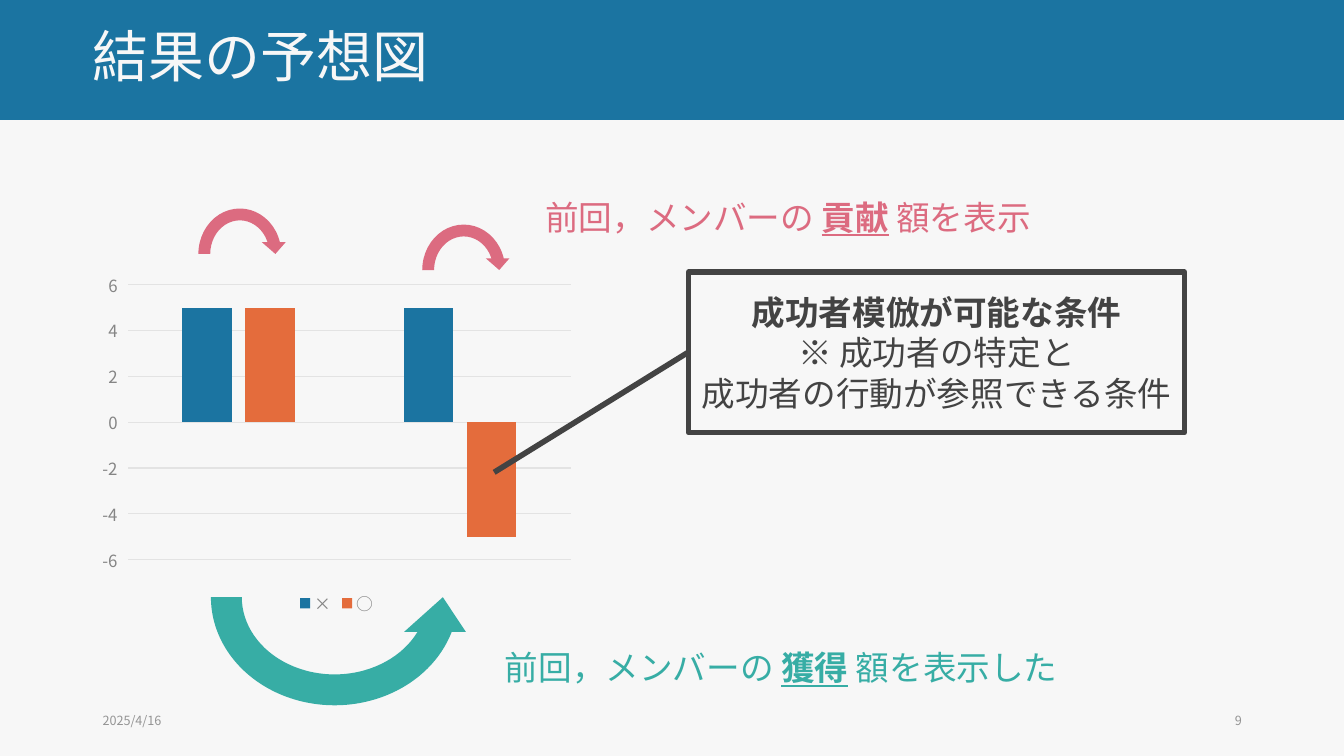
from dataclasses import dataclass

from lxml import etree
from pptx import Presentation
from pptx.chart.data import CategoryChartData
from pptx.dml.color import RGBColor
from pptx.enum.chart import XL_CHART_TYPE, XL_LEGEND_POSITION, XL_TICK_LABEL_POSITION, XL_TICK_MARK
from pptx.enum.shapes import MSO_SHAPE
from pptx.enum.text import MSO_ANCHOR, MSO_AUTO_SIZE, PP_ALIGN
from pptx.oxml.ns import qn
from pptx.util import Pt

COLUMNS = XL_CHART_TYPE.COLUMN_CLUSTERED
LEGEND_BOTTOM = XL_LEGEND_POSITION.BOTTOM
LABELS_LOW = XL_TICK_LABEL_POSITION.LOW
NO_TICK = XL_TICK_MARK.NONE
RECTANGLE = MSO_SHAPE.RECTANGLE
CIRCULAR_ARROW = MSO_SHAPE.CIRCULAR_ARROW
CALLOUT = MSO_SHAPE.LINE_CALLOUT_1
MIDDLE = MSO_ANCHOR.MIDDLE
GROW = MSO_AUTO_SIZE.SHAPE_TO_FIT_TEXT
LEFT, CENTER, RIGHT = PP_ALIGN.LEFT, PP_ALIGN.CENTER, PP_ALIGN.RIGHT


@dataclass(frozen=True)
class Theme:
    font: str = "Noto Sans CJK JP"
    paper: str = "F7F7F7"
    blue: str = "1B74A1"
    orange: str = "E46C3C"
    pink: str = "DC6B80"
    teal: str = "37ADA5"
    ink: str = "434343"
    axis: str = "858585"
    footer: str = "949494"
    grid: str = "E3E3E3"
    title_size: int = 40
    body_size: int = 24
    chart_size: int = 12
    footer_size: int = 9


THEME = Theme()


def rgb(color):
    return RGBColor.from_string(color)


def points(*lengths):
    return [Pt(length) for length in lengths]


def style_font(font, size, color, bold=False):
    font.name = THEME.font
    font.size = Pt(size)
    font.bold = bold
    font.color.rgb = rgb(color)
    latin = font._element.find(qn("a:latin"))
    east_asian = etree.Element(qn("a:ea"), typeface=THEME.font)
    latin.addnext(east_asian)


def add_solid(page, preset, area, color):
    shape = page.shapes.add_shape(preset, *points(*area))
    shape.shadow.inherit = False
    shape.fill.solid()
    shape.fill.fore_color.rgb = rgb(color)
    shape.line.fill.background()
    return shape


def add_label(page, area, text, size, color, align=LEFT):
    box = page.shapes.add_textbox(*points(*area))
    frame = box.text_frame
    frame.word_wrap = True
    frame.vertical_anchor = MIDDLE
    para = frame.paragraphs[0]
    para.text = text
    para.alignment = align
    style_font(para.font, size, color)
    return box


def clear_insets(frame):
    frame.margin_left = frame.margin_top = frame.margin_right = frame.margin_bottom = 0


def add_title(page, text):
    box = add_label(page, (66.2, 0, 828, 85), text, THEME.title_size, THEME.paper)
    clear_insets(box.text_frame)
    box.text_frame.paragraphs[0].line_spacing = 0.9


def add_note(page, area, before, stressed, after, color):
    frame = page.shapes.add_textbox(*points(*area)).text_frame
    clear_insets(frame)
    frame.word_wrap = False
    frame.auto_size = GROW
    para = frame.paragraphs[0]
    para.line_spacing = 1.1
    para.space_before = Pt(4)
    style_font(para.font, THEME.body_size, color)
    for text in (before, stressed, after):
        span = para.add_run()
        span.text = text
        if text == stressed:
            span.font.bold = True
            span.font.underline = True


def add_callout(page, area, pointer, heading, detail):
    shape = page.shapes.add_shape(CALLOUT, *points(*area))
    shape.shadow.inherit = False
    shape.fill.background()
    shape.line.color.rgb = rgb(THEME.ink)
    shape.line.width = Pt(4)
    for index, value in enumerate(pointer):
        shape.adjustments[index] = value
    frame = shape.text_frame
    frame.word_wrap = True
    frame.vertical_anchor = MIDDLE
    paras = frame.paragraphs[0], frame.add_paragraph()
    for para, text, bold in zip(paras, (heading, detail), (True, False)):
        para.text = text
        para.alignment = CENTER
        style_font(para.font, THEME.body_size, THEME.ink, bold)


def add_column_chart(page, area, categories, series):
    data = CategoryChartData()
    data.categories = categories
    for name, values, _ in series:
        data.add_series(name, values)
    chart = page.shapes.add_chart(COLUMNS, *points(*area), data).chart
    chart.has_title = False
    style_font(chart.font, THEME.chart_size, THEME.axis)

    plot = chart.plots[0]
    plot.vary_by_categories = False
    plot.gap_width = 219
    plot.overlap = -27
    for columns, (_, _, color) in zip(plot.series, series):
        columns.invert_if_negative = False
        columns.format.fill.solid()
        columns.format.fill.fore_color.rgb = rgb(color)

    chart.category_axis.visible = False
    axis = chart.value_axis
    axis.minimum_scale, axis.maximum_scale, axis.major_unit = -6, 6, 2
    axis.major_tick_mark = axis.minor_tick_mark = NO_TICK
    axis.tick_label_position = LABELS_LOW
    axis.format.line.fill.background()
    grid_line = axis.major_gridlines.format.line
    grid_line.color.rgb = rgb(THEME.grid)
    grid_line.width = Pt(0.75)

    chart.has_legend = True
    chart.legend.position = LEGEND_BOTTOM
    chart.legend.include_in_layout = False
    for part in (axis.tick_labels, chart.legend):
        style_font(part.font, THEME.chart_size, THEME.axis)


def main():
    deck = Presentation()
    deck.slide_width, deck.slide_height = points(960, 540)
    page = deck.slides.add_slide(deck.slide_layouts[6])
    page.background.fill.solid()
    page.background.fill.fore_color.rgb = rgb(THEME.paper)

    add_solid(page, RECTANGLE, (0, 0, 960, 85.7), THEME.blue)
    add_column_chart(page, (66.2, 189.4, 348.5, 253.4), ("1", "2"), (
        ("×", (5, 5), THEME.blue),
        ("○", (5, -5), THEME.orange),
    ))
    add_label(page, (861.8, 500.4, 32.4, 28.8), "9", THEME.footer_size, THEME.footer, RIGHT)
    add_label(page, (66.2, 500.4, 84.2, 28.8), "2025/4/16", THEME.footer_size, THEME.footer)
    add_title(page, "結果の予想図")

    gain_arrow = add_solid(page, CIRCULAR_ARROW, (139.7, 338.4, 198.7, 176.4), THEME.teal)
    gain_arrow._element.spPr.find(qn("a:xfrm")).set("flipV", "1")
    add_note(page, (360.7, 459.4, 411.8, 27.4), "前回，メンバーの ", "獲得", " 額を表示した", THEME.teal)
    add_note(page, (389.5, 137.5, 363.6, 27.4), "前回，メンバーの ", "貢献", " 額を表示", THEME.pink)
    for left, top in ((137.5, 144.7), (297.4, 156.2)):
        add_solid(page, CIRCULAR_ARROW, (left, top, 67.7, 73.4), THEME.pink)
    add_callout(page, (491.8, 194.4, 354.2, 114.5), (0.495, 0.002, 1.249, -0.392),
                "成功者模倣が可能な条件", "※ 成功者の特定と\v成功者の行動が参照できる条件")

    deck.save("out.pptx")


if __name__ == "__main__":
    main()
